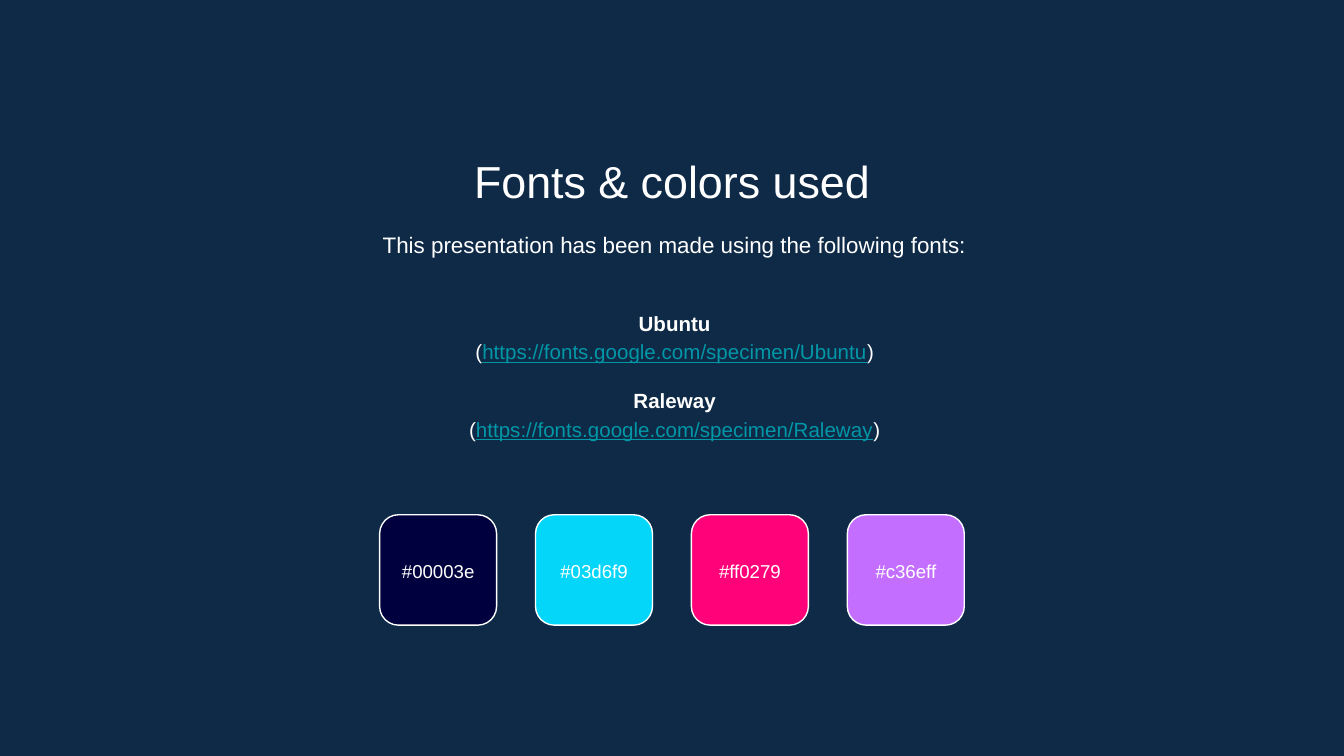
from dataclasses import dataclass

from pptx import Presentation
from pptx import util as u
from pptx.dml.color import RGBColor
from pptx.enum import shapes, text

WIDE = u.Inches(10)
HIGH = u.Emu(WIDE * 9 // 16)
FONT = "Arial"
WHITE, NAVY, TEAL = "FFFFFF", "0E2A47", "0097A7"
TOP, MIDDLE = text.MSO_ANCHOR.TOP, text.MSO_ANCHOR.MIDDLE


@dataclass
class Box:
    """A place on a grid of 100 columns and 100 rows."""
    col: float
    row: float
    cols: float
    rows: float

    def place(self) -> tuple[int, int, int, int]:
        return (int(WIDE * self.col / 100), int(HIGH * self.row / 100),
                int(WIDE * self.cols / 100), int(HIGH * self.rows / 100))


@dataclass
class Run:
    words: str
    bold: bool = False
    link: bool = False


@dataclass
class Line:
    runs: list[Run]
    gap: float = 0


def tint(code: str) -> RGBColor:
    return RGBColor.from_string(code.upper())


def write(frame, lines: list[Line], size: float, lead: float) -> None:
    """Fill a text frame with centred lines, run by run."""
    for i, line in enumerate(lines):
        para = frame.add_paragraph() if i else frame.paragraphs[0]
        para.alignment = text.PP_ALIGN.CENTER
        para.line_spacing = lead
        para.space_before = u.Pt(line.gap)
        for part in line.runs:
            run = para.add_run()
            run.text = part.words
            font = run.font
            font.name, font.size = FONT, u.Pt(size)
            font.bold, font.underline = part.bold, part.link
            font.color.rgb = tint(TEAL if part.link else WHITE)


def block(slide, box: Box, lines: list[Line], size: float,
          lead: float = 1.0, anchor: text.MSO_ANCHOR = TOP) -> None:
    frame = slide.shapes.add_textbox(*box.place()).text_frame
    frame.margin_left = frame.margin_right = u.Inches(0.1)
    frame.margin_top = frame.margin_bottom = u.Inches(0.1)
    frame.vertical_anchor = anchor
    frame.word_wrap = True
    write(frame, lines, size, lead)


def swatch(slide, col: float, code: str) -> None:
    """Draw a rounded tile in a colour, labelled with its code."""
    tile = slide.shapes.add_shape(
        shapes.MSO_SHAPE.ROUNDED_RECTANGLE,
        *Box(col, 68.1, 8.7, 14.6).place())
    tile.adjustments[0] = 0.17
    tile.shadow.inherit = False
    tile.fill.solid()
    tile.fill.fore_color.rgb = tint(code)
    tile.line.color.rgb = tint(WHITE)
    tile.line.width = u.Pt(0.75)
    block(slide, Box(col, 71.2, 8.7, 8.53), [Line([Run(f"#{code}")])], 10,
          anchor=MIDDLE)


def credit(name: str, gap: float = 0) -> list[Line]:
    """Give a font's name, then its address in brackets."""
    site = f"https://fonts.google.com/specimen/{name}"
    return [Line([Run(name, bold=True)], gap),
            Line([Run("("), Run(site, link=True), Run(")")])]


def main() -> None:
    deck = Presentation()
    deck.slide_width, deck.slide_height = WIDE, HIGH
    slide = deck.slides.add_slide(deck.slide_layouts[6])
    slide.background.fill.solid()
    slide.background.fill.fore_color.rgb = tint(NAVY)

    block(slide, Box(11.45, 18.55, 77.1, 9.42),
          [Line([Run("Fonts & colors used")])], 24)
    intro = "This presentation has been made using the following fonts:"
    block(slide, Box(11.65, 28.3, 77.1, 8.53), [Line([Run(intro)])], 12, 1.15)
    block(slide, Box(11.65, 37.35, 77.1, 24.36),
          credit("Ubuntu") + credit("Raleway", gap=11), 11, 1.15, MIDDLE)

    for i, code in enumerate(("00003e", "03d6f9", "ff0279", "c36eff")):
        swatch(slide, 28.25 + 11.6 * i, code)

    deck.save("out.pptx")


if __name__ == "__main__":
    main()
